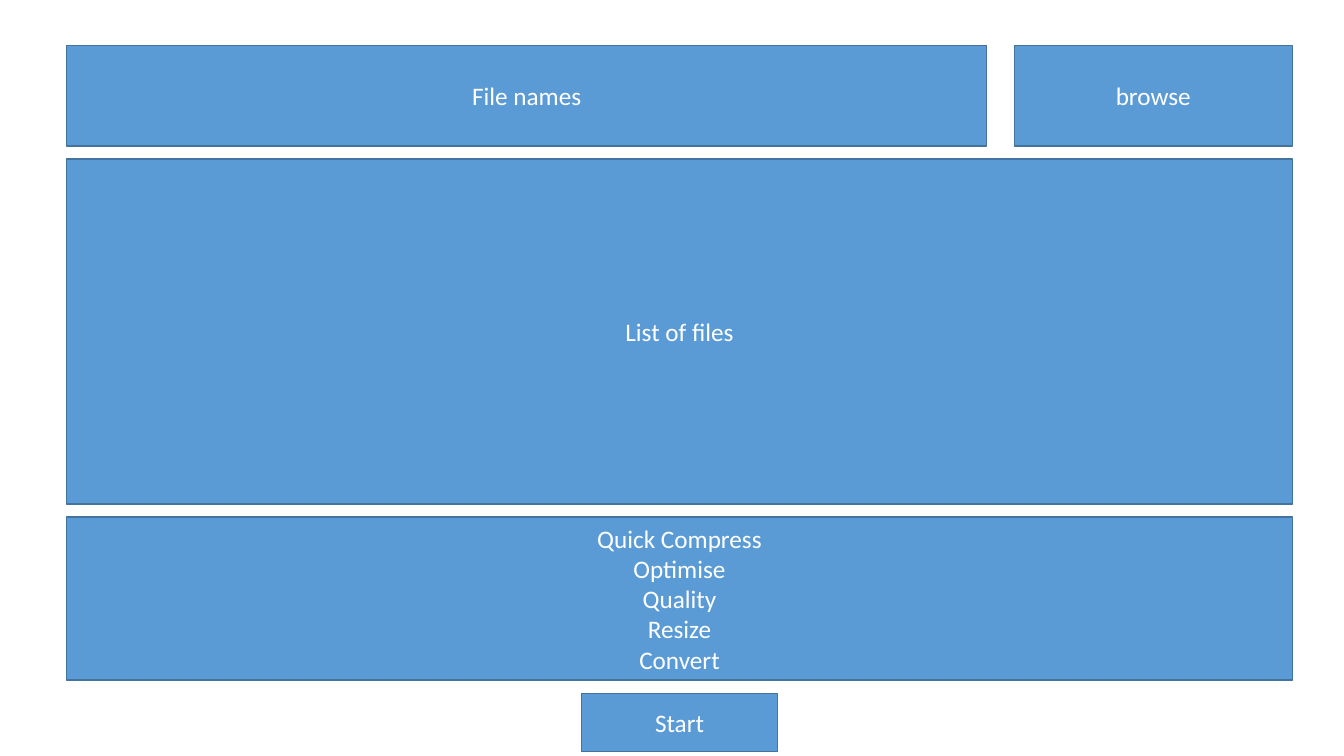
"""Build a wireframe slide for a file compression tool."""
from pptx import Presentation
from pptx.dml.color import RGBColor
from pptx.enum.shapes import MSO_SHAPE
from pptx.enum.text import MSO_ANCHOR, PP_ALIGN
from pptx.util import Cm, Pt

COLORS = {"fill": "5B9BD5", "line": "43739E", "text": "FFFFFF"}
OPTIONS = ["Quick Compress", "Optimise", "Quality", "Resize", "Convert"]
LEFT, TOP, WIDTH = 1.68, 1.14, 30.89
COLUMN_GAP, ROW_GAP = 0.69, 0.33
ROWS = [
    (2.54, [("File names", 23.19), ("browse", 7.01)]),
    (8.69, [("List of files", WIDTH)]),
    (4.11, [("\n".join(OPTIONS), WIDTH)]),
    (1.47, [("Start", 4.95)]),
]


def rgb(name):
    """Return the named palette colour."""
    return RGBColor.from_string(COLORS[name])


def add_box(slide, text, x, y, width, height):
    """Add a filled rectangle with centred text."""
    s = slide.shapes.add_shape(MSO_SHAPE.RECTANGLE, Cm(x), Cm(y), Cm(width), Cm(height))
    s.shadow.inherit = False
    s.fill.solid()
    s.fill.fore_color.rgb = rgb("fill")
    s.line.color.rgb = rgb("line")
    s.line.width = Pt(1)
    tf = s.text_frame
    tf.text = text
    tf.word_wrap = True
    tf.vertical_anchor = MSO_ANCHOR.MIDDLE
    for p in tf.paragraphs:
        p.alignment = PP_ALIGN.CENTER
        for r in p.runs:
            r.font.name = "Calibri"
            r.font.size = Pt(18)
            r.font.color.rgb = rgb("text")


prs = Presentation()
prs.slide_width, prs.slide_height = Cm(33.87), Cm(19.05)
slide = prs.slides.add_slide(prs.slide_layouts[6])

y = TOP
for height, boxes in ROWS:
    row_width = sum(width for _, width in boxes) + COLUMN_GAP * (len(boxes) - 1)
    x = LEFT + (WIDTH - row_width) / 2
    for text, width in boxes:
        add_box(slide, text, x, y, width, height)
        x += width + COLUMN_GAP
    y += height + ROW_GAP

prs.save("out.pptx")
